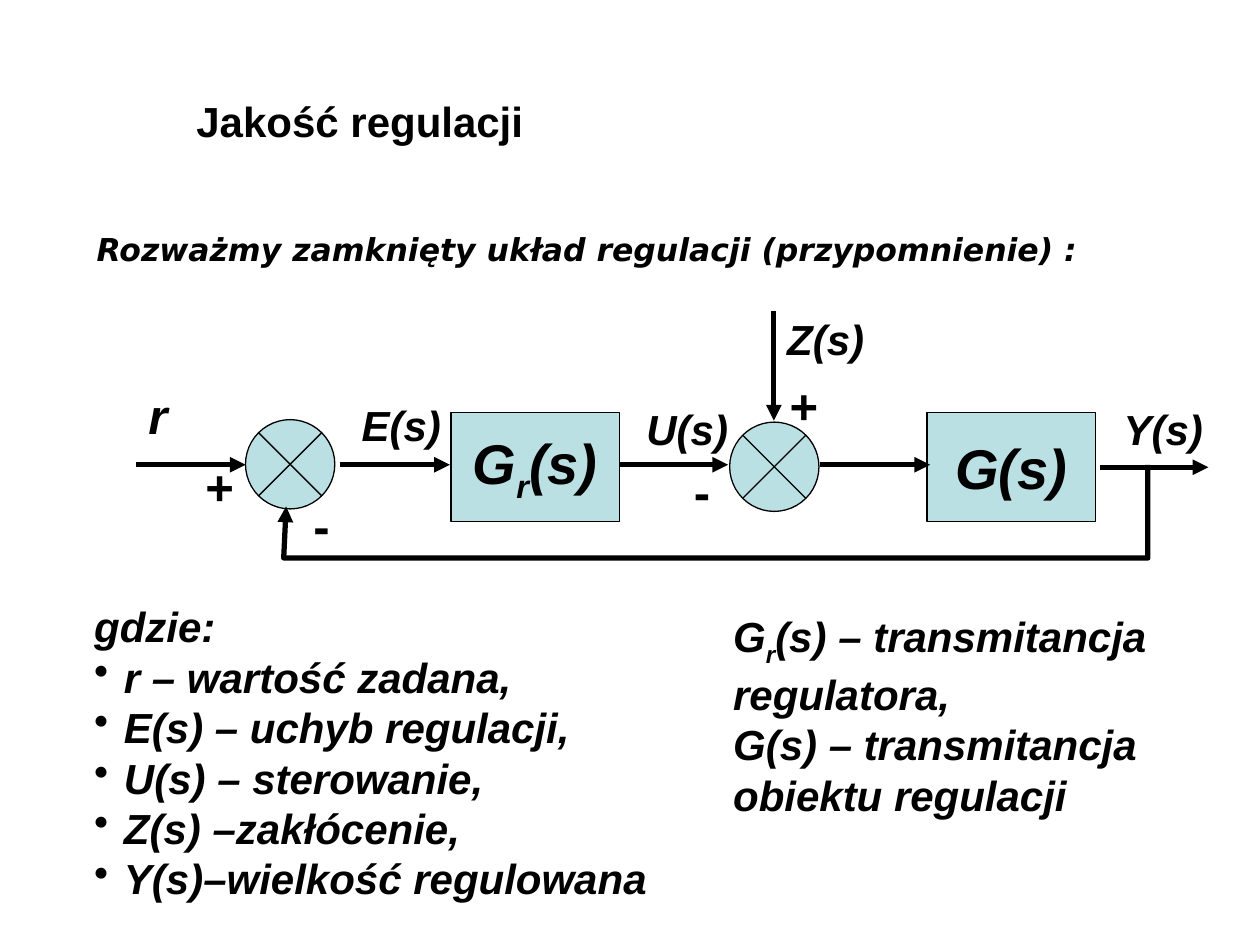
from lxml.etree import SubElement
from pptx import Presentation
from pptx.dml.color import RGBColor
from pptx.enum.shapes import MSO_CONNECTOR, MSO_SHAPE as Shape
from pptx.enum.text import MSO_ANCHOR as Anchor, PP_ALIGN as Align
from pptx.oxml.ns import qn
from pptx.util import Cm, Pt

INK, TEAL = "000000", "BBE0E3"


def color(hex_code):
    return RGBColor.from_string(hex_code)


def write(frame, lines, size, italic=True, font="Arial", align=Align.LEFT, wrap=True):
    """Fill a text frame; parts between underscores become subscripts."""
    frame.word_wrap = wrap
    for number, line in enumerate(lines):
        paragraph = frame.paragraphs[0] if number == 0 else frame.add_paragraph()
        paragraph.alignment = align
        style = paragraph.font
        style.name, style.size = font, Pt(size)
        style.bold, style.italic = True, italic
        style.color.rgb = color(INK)
        for position, part in enumerate(line.split("_")):
            run = paragraph.add_run()
            run.text = part
            if position % 2:
                run.font._element.set("baseline", "-25000")


prs = Presentation()
prs.slide_width, prs.slide_height = Cm(25.4), Cm(19.05)
slide = prs.slides.add_slide(prs.slide_layouts[6])
shapes = slide.shapes

# Heading and introduction
heading = shapes.add_textbox(Cm(3.71), Cm(1.12), Cm(20.04), Cm(2.62)).text_frame
heading.vertical_anchor = Anchor.MIDDLE
write(heading, ["Jakość regulacji"], 24, italic=False)

intro = shapes.add_textbox(Cm(1.7), Cm(4.52), Cm(22.73), Cm(1.4)).text_frame
write(intro, ["Rozważmy zamknięty układ regulacji (przypomnienie) :"], 18,
      font="DejaVu Sans", align=Align.JUSTIFY)
intro.paragraphs[0].space_before = Pt(4.5)

# Legend of signals, bulleted after its first line
signals = shapes.add_textbox(Cm(1.65), Cm(11.99), Cm(12.01), Cm(6.35)).text_frame
write(signals, ["gdzie:", "r – wartość zadana,", "E(s) – uchyb regulacji,",
                "U(s) – sterowanie,", "Z(s) –zakłócenie,",
                "Y(s)–wielkość regulowana"], 24)
for signal in signals.paragraphs[1:]:
    properties = signal._p.get_or_add_pPr()
    properties.set("marL", str(Cm(0.6)))
    properties.set("indent", str(-Cm(0.6)))
    bullet = SubElement(properties, qn("a:buChar"), char="•")
    properties.find(qn("a:defRPr")).addprevious(bullet)

# Legend of transfer functions
transfers = shapes.add_textbox(Cm(14.53), Cm(12.19), Cm(9.35), Cm(4.32)).text_frame
write(transfers, ["G_r_(s) – transmitancja", "regulatora,",
                  "G(s) – transmitancja", "obiektu regulacji"], 24)

# Regulator, plant and summing junctions
for kind, left, top, width, height, name in [
    (Shape.RECTANGLE, 9.09, 8.31, 3.4, 2.21, "G_r_(s)"),
    (Shape.RECTANGLE, 18.69, 8.31, 3.4, 2.21, "G(s)"),
    (Shape.FLOWCHART_SUMMING_JUNCTION, 14.71, 8.51, 1.8, 1.8, ""),
    (Shape.FLOWCHART_SUMMING_JUNCTION, 4.95, 8.46, 1.8, 1.8, ""),
]:
    block = shapes.add_shape(kind, Cm(left), Cm(top), Cm(width), Cm(height))
    block.shadow.inherit = False
    block.fill.solid()
    block.fill.fore_color.rgb = color(TEAL)
    block.line.color.rgb = color(INK)
    block.line.width = Pt(0.75)
    if name:
        block.text_frame.vertical_anchor = Anchor.MIDDLE
        write(block.text_frame, [name], 32, align=Align.CENTER, wrap=False)

# Signal arrows
arrows = []
for x1, y1, x2, y2 in [
    (2.74, 9.37, 4.95, 9.37),
    (6.86, 9.37, 9.07, 9.37),
    (12.47, 9.37, 14.68, 9.37),
    (16.54, 9.37, 18.75, 9.37),
    (22.17, 9.42, 24.36, 9.42),
    (15.6, 6.27, 15.6, 8.48),
]:
    arrow = shapes.add_connector(MSO_CONNECTOR.STRAIGHT, Cm(x1), Cm(y1), Cm(x2), Cm(y2))
    SubElement(arrow._element.spPr, qn("a:effectLst"))
    arrows.append(arrow)

# Feedback path
route = shapes.build_freeform(Cm(23.14), Cm(9.37))
route.add_line_segments([(Cm(23.14), Cm(11.25)), (Cm(5.72), Cm(11.25)),
                         (Cm(5.77), Cm(10.21))], close=False)
feedback = route.convert_to_shape()
feedback.fill.background()
feedback.shadow.inherit = False
arrows.append(feedback)

for arrow in arrows:
    arrow.line.color.rgb = color(INK)
    arrow.line.width = Pt(3)
    SubElement(arrow.line._get_or_add_ln(), qn("a:tailEnd"), type="triangle")

# Signal names
for name, left, top, width in [
    ("Z(s)", 15.62, 6.2, 2.06),
    ("E(s)", 7.04, 7.92, 2.11),
    ("U(s)", 12.78, 8, 2.16),
    ("Y(s)", 22.4, 8, 2.11),
]:
    label = shapes.add_textbox(Cm(left), Cm(top), Cm(width), Cm(1.27))
    write(label.text_frame, [name], 24, wrap=False)

# Set point and signs at the junctions
for mark, left, top, width in [
    ("r", 2.74, 7.65, 1.4),
    ("+", 3.89, 9.07, 0.97),
    ("-", 6.07, 9.86, 0.97),
    ("+", 15.67, 7.44, 0.97),
    ("-", 13.74, 9.17, 0.97),
]:
    label = shapes.add_textbox(Cm(left), Cm(top), Cm(width), Cm(1.45))
    write(label.text_frame, [mark], 28, italic=mark == "r")

prs.save("out.pptx")
